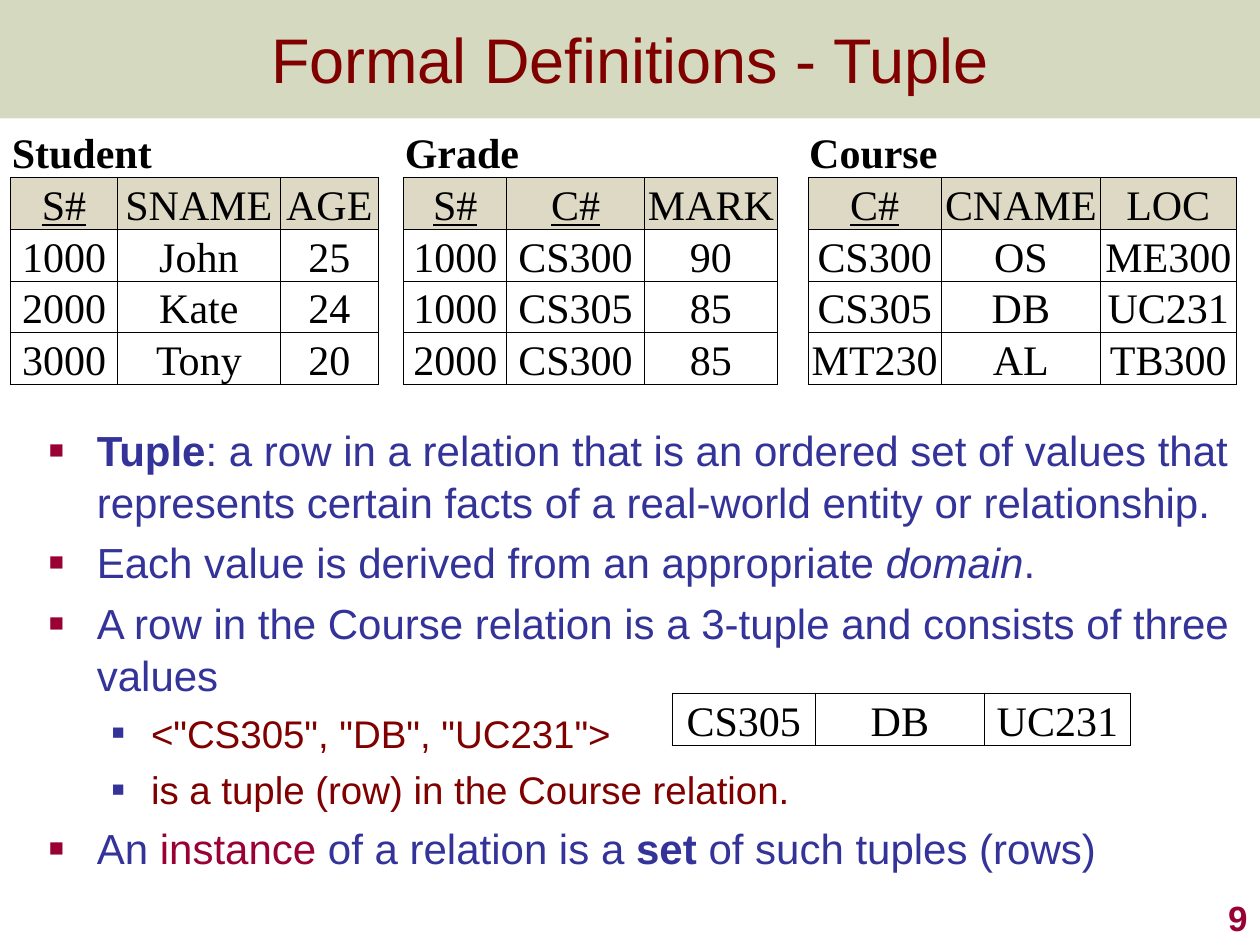
from lxml import etree
from pptx import Presentation
from pptx.dml.color import RGBColor
from pptx.enum.shapes import MSO_SHAPE
from pptx.enum.text import MSO_ANCHOR, PP_ALIGN
from pptx.oxml.ns import qn
from pptx.util import Pt

MAROON, BLUE, CRIMSON = "800000", "333399", "990033"
BLACK, WHITE, TAN, OLIVE = "000000", "FFFFFF", "DDD9C4", "76822E"
SANS, SERIF = "Arial", "Times New Roman"

RELATIONS = [
    ("Student", [61.2, 92.88, 56.16], [
        ("S#", "SNAME", "AGE"),
        ("1000", "John", "25"), ("2000", "Kate", "24"), ("3000", "Tony", "20")]),
    ("Grade", [59.04, 78.48, 76.32], [
        ("S#", "C#", "MARK"),
        ("1000", "CS300", "90"), ("1000", "CS305", "85"), ("2000", "CS300", "85")]),
    ("Course", [76.32, 90.72, 77.76], [
        ("C#", "CNAME", "LOC"),
        ("CS300", "OS", "ME300"), ("CS305", "DB", "UC231"), ("MT230", "AL", "TB300")]),
]
GAPS = [14.4, 17.28]
ROW_HEIGHT = 27.4

LEVELS = [
    dict(left=27.36, hang=27.36, size=24, color=BLUE, bullet=CRIMSON, scale=60),
    dict(left=58.32, hang=22.32, size=22, color=MAROON, bullet=BLUE, scale=55),
]
POINTS = [
    (0, [("Tuple", {"bold": True}),
         (": a row in a relation that is an ordered set of values that represents "
          "certain facts of a real-world entity or relationship.", {})]),
    (0, [("Each value is derived from an appropriate ", {}),
         ("domain", {"italic": True}), (".", {})]),
    (0, [("A row in the Course relation is a 3-tuple and consists of three values", {})]),
    (1, [('<"CS305", "DB", "UC231">', {})]),
    (1, [("is a tuple (row) in the Course relation.", {})]),
    (0, [("An ", {}), ("instance ", {"color": CRIMSON}), ("of a relation is a ", {}),
         ("set ", {"bold": True}), ("of such tuples (rows)", {})]),
]


def rgb(value):
    return RGBColor.from_string(value)


def add(parent, tag, **attrs):
    return etree.SubElement(parent, qn(tag), {k: str(v) for k, v in attrs.items()})


def set_all(target, values):
    for name, value in values.items():
        setattr(target, name, value)


class Deck:
    def __init__(self):
        self.prs = Presentation()
        set_all(self.prs, {"slide_width": Pt(720), "slide_height": Pt(540)})
        self.s = self.prs.slides.add_slide(self.prs.slide_layouts[6])

    def run(self, p, text, size, color, font=SANS, **style):
        r = p.add_run()
        r.text = text
        set_all(r.font, {"name": font, "size": Pt(size), **style})
        r.font.color.rgb = rgb(color)

    def band(self, x, y, w, h, color, opacity):
        sp = self.s.shapes.add_shape(MSO_SHAPE.RECTANGLE, Pt(x), Pt(y), Pt(w), Pt(h))
        sp.shadow.inherit = False
        sp.fill.solid()
        sp.fill.fore_color.rgb = rgb(color)
        sp.line.fill.background()
        add(sp.fill._xPr.find(".//" + qn("a:srgbClr")), "a:alpha", val=opacity * 1000)

    def box(self, x, y, w, h, anchor):
        tf = self.s.shapes.add_textbox(Pt(x), Pt(y), Pt(w), Pt(h)).text_frame
        set_all(tf, {"word_wrap": True, "vertical_anchor": anchor})
        return tf

    def label(self, x, y, w, h, text, anchor, align, size, color, **style):
        p = self.box(x, y, w, h, anchor).paragraphs[0]
        p.alignment = align
        self.run(p, text, size, color, **style)

    def bullets(self, x, y, w, h, points):
        tf = self.box(x, y, w, h, MSO_ANCHOR.TOP)
        tf.margin_right = 0
        for i, (depth, parts) in enumerate(points):
            level = LEVELS[depth]
            p = tf.add_paragraph() if i else tf.paragraphs[0]
            pPr = p._p.get_or_add_pPr()
            pPr.set("marL", str(Pt(level["left"])))
            pPr.set("indent", str(-Pt(level["hang"])))
            add(add(pPr, "a:buClr"), "a:srgbClr", val=level["bullet"])
            add(pPr, "a:buSzPct", val=level["scale"] * 1000)
            add(pPr, "a:buFont", typeface=SANS)
            add(pPr, "a:buChar", char="■")
            set_all(p, {"level": depth, "line_spacing": 1.03,
                        "space_before": Pt(5 if i else 0)})
            for text, style in parts:
                self.run(p, text, **{"size": level["size"], "color": level["color"], **style})

    def table(self, x, y, widths, heights):
        frame = self.s.shapes.add_table(len(heights), len(widths), Pt(x), Pt(y),
                                        Pt(sum(widths)), Pt(sum(heights)))
        table = frame.table
        set_all(table, {"first_row": False, "horz_banding": False})
        for col, width in zip(table.columns, widths):
            col.width = Pt(width)
        for row, height in zip(table.rows, heights):
            row.height = Pt(height)
        return table

    def cell(self, cell, text="", edges="LRTB", fill=WHITE, align=PP_ALIGN.CENTER, **style):
        set_all(cell, {"margin_left": Pt(0.72), "margin_right": Pt(0.72),
                       "margin_top": Pt(0.72), "margin_bottom": 0,
                       "vertical_anchor": MSO_ANCHOR.BOTTOM})
        tcPr = cell._tc.get_or_add_tcPr()
        for side in "LRTB":
            ln = add(tcPr, "a:ln" + side, w=Pt(0.5))
            if side in edges:
                add(add(ln, "a:solidFill"), "a:srgbClr", val=BLACK)
            else:
                add(ln, "a:noFill")
        cell.fill.solid()
        cell.fill.fore_color.rgb = rgb(fill)
        if text:
            p = cell.text_frame.paragraphs[0]
            p.alignment = align
            self.run(p, text, 24, BLACK, SERIF, **style)

    def relations(self, x, y):
        widths = list(RELATIONS[0][1])
        for gap, relation in zip(GAPS, RELATIONS[1:]):
            widths += [gap] + relation[1]
        row_count = 1 + len(RELATIONS[0][2])
        table = self.table(x, y, widths, [ROW_HEIGHT] * row_count)
        start = 0
        for name, columns, rows in RELATIONS:
            end = start + len(columns)
            for c in range(start, end):
                self.cell(table.cell(0, c), name if c == start else "", "B",
                          align=PP_ALIGN.LEFT, bold=True)
            table.cell(0, start).merge(table.cell(0, end - 1))
            for r, values in enumerate(rows, 1):
                for c, text in enumerate(values, start):
                    self.cell(table.cell(r, c), text, fill=TAN if r == 1 else WHITE,
                              underline=text.endswith("#"))
            if end < len(widths):
                for r in range(row_count):
                    self.cell(table.cell(r, end), edges="LR" if r else "")
            start = end + 1

    def tuple_row(self, x, y, widths, height, values):
        table = self.table(x, y, widths, [height])
        for c, text in enumerate(values):
            self.cell(table.cell(0, c), text)


def main():
    deck = Deck()
    deck.band(0, 0, 720, 67.68, OLIVE, 30)
    deck.label(0, 0, 720, 66.24, "Formal Definitions - Tuple",
               MSO_ANCHOR.MIDDLE, PP_ALIGN.CENTER, 36, MAROON)
    deck.bullets(20.88, 238, 683.28, 267, POINTS)
    deck.tuple_row(384, 396, [82, 96.5, 83.5], 29.8, RELATIONS[2][2][2])
    deck.label(570, 504, 150, 36, "9", MSO_ANCHOR.BOTTOM, PP_ALIGN.RIGHT, 20, CRIMSON, bold=True)
    deck.relations(6, 72)
    deck.prs.save("out.pptx")


if __name__ == "__main__":
    main()
